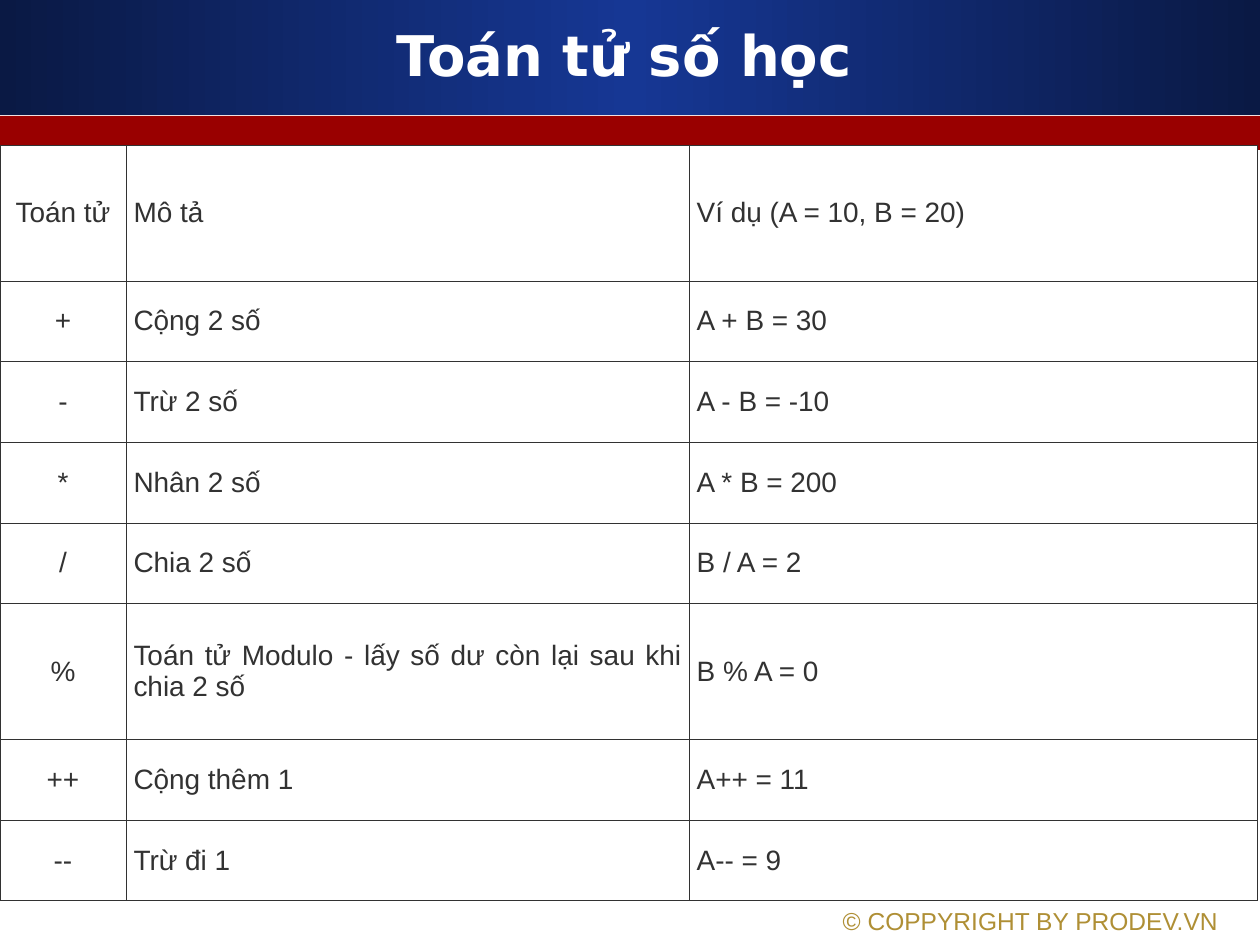
import pptx
import pptx.dml.color
import pptx.enum.shapes
import pptx.enum.text
import pptx.oxml
import pptx.oxml.ns
import pptx.util
from lxml import etree

PX = 9144  # EMU in one px, 100 px to the inch
COLORS = {
    "navy": "0A1944",
    "blue": "163794",
    "red": "990000",
    "gold": "AF8F35",
    "ink": "323232",
    "white": "FFFFFF",
}
ALIGN = pptx.enum.text.PP_ALIGN
MIDDLE = pptx.enum.text.MSO_ANCHOR.MIDDLE
qn = pptx.oxml.ns.qn

OPERATORS = [
    ("Toán tử", "Mô tả", "Ví dụ (A = 10, B = 20)"),
    ("+", "Cộng 2 số", "A + B = 30"),
    ("-", "Trừ 2 số", "A - B = -10"),
    ("*", "Nhân 2 số", "A * B = 200"),
    ("/", "Chia 2 số", "B / A = 2"),
    ("%", "Toán tử Modulo - lấy số dư còn lại sau khi chia 2 số", "B % A = 0"),
    ("++", "Cộng thêm 1", "A++ = 11"),
    ("--", "Trừ đi 1", "A-- = 9"),
]
TALL_ROWS = (0, 5)
TALL, SHORT = 108, 64
COLUMN_WIDTHS = (100, 447, 451)


def rgb(name):
    return pptx.dml.color.RGBColor.from_string(COLORS[name])


def emu(*lengths):
    return [pptx.util.Emu(length * PX) for length in lengths]


class SlideBuilder:
    TITLE = {"name": "DejaVu Sans", "size": pptx.util.Pt(32), "bold": True}
    BODY = {"name": "Arial", "size": pptx.util.Pt(16)}
    FOOTER = {"name": "Arial", "size": pptx.util.Pt(14)}
    BORDER_WIDTH = pptx.util.Pt(0.34)

    def __init__(self, page):
        self.page = page

    def add_text(self, frame, text, style, color, align):
        paragraph = frame.paragraphs[0]
        paragraph.alignment = align
        span = paragraph.add_run()
        span.text = text
        for key, value in style.items():
            setattr(span.font, key, value)
        span.font.color.rgb = rgb(color)
        return paragraph

    def band(self, bounds, colors):
        """Draw a bar behind the title, with an even gradient if it has several colours."""
        bar = self.page.shapes.add_shape(
            pptx.enum.shapes.MSO_SHAPE.RECTANGLE, *emu(*bounds))
        bar.shadow.inherit = False
        bar.line.fill.background()
        if len(colors) == 1:
            bar.fill.solid()
            bar.fill.fore_color.rgb = rgb(colors[0])
        else:
            bar.fill.gradient()
            bar.fill.gradient_angle = 0
            stops = next(bar.element.iter(qn("a:gsLst")))
            stops.clear()
            for index, color in enumerate(colors):
                position = 100000 * index // (len(colors) - 1)
                stop = etree.SubElement(stops, qn("a:gs"), pos=str(position))
                etree.SubElement(stop, qn("a:srgbClr"), val=COLORS[color])
        self.page.shapes.title.element.addprevious(bar.element)

    def title(self, bounds, text):
        box = self.page.shapes.title
        box.left, box.top, box.width, box.height = emu(*bounds)
        frame = box.text_frame
        frame.auto_size = pptx.enum.text.MSO_AUTO_SIZE.NONE
        frame.vertical_anchor = MIDDLE
        paragraph = self.add_text(frame, text, self.TITLE, "white", ALIGN.CENTER)
        paragraph.line_spacing = 0.8

    def footer(self, bounds, text):
        frame = self.page.shapes.add_textbox(*emu(*bounds)).text_frame
        frame.word_wrap = True
        self.add_text(frame, text, self.FOOTER, "gold", ALIGN.LEFT)

    def border(self, cell):
        properties = cell._tc.get_or_add_tcPr()
        for index, side in enumerate("LRTB"):
            line = etree.Element(qn(f"a:ln{side}"), w=str(self.BORDER_WIDTH))
            fill = etree.SubElement(line, qn("a:solidFill"))
            etree.SubElement(fill, qn("a:srgbClr"), val=COLORS["ink"])
            properties.insert(index, line)

    def table(self, left, top, widths, heights, rows):
        grid = self.page.shapes.add_table(
            len(rows), len(widths), *emu(left, top, sum(widths), sum(heights))).table
        grid.first_row = grid.horz_banding = False
        for column, width in zip(grid.columns, emu(*widths)):
            column.width = width
        for row, height, texts in zip(grid.rows, emu(*heights), rows):
            row.height = height
            for index, (cell, text) in enumerate(zip(row.cells, texts)):
                cell.fill.solid()
                cell.fill.fore_color.rgb = rgb("white")
                cell.vertical_anchor = MIDDLE
                cell.margin_left, cell.margin_right = emu(6, 6)
                cell.margin_top, cell.margin_bottom = emu(5, 5)
                align = ALIGN.JUSTIFY if index else ALIGN.CENTER
                self.add_text(cell.text_frame, text, self.BODY, "ink", align)
                self.border(cell)


def main():
    deck = pptx.Presentation()
    deck.slide_width, deck.slide_height = emu(1000, 750)
    slide = SlideBuilder(deck.slides.add_slide(deck.slide_layouts[5]))
    slide.band((0, 0, 1000, 91), ("navy", "blue", "navy"))
    slide.band((0, 92, 1000, 27), ("red",))
    slide.title((33, 17, 925, 62), "Toán tử số học")
    slide.footer((659, 714, 340, 34), "© COPPYRIGHT BY PRODEV.VN")
    heights = [TALL if index in TALL_ROWS else SHORT for index in range(len(OPERATORS))]
    slide.table(0, 115, COLUMN_WIDTHS, heights, OPERATORS)
    deck.save("out.pptx")


if __name__ == "__main__":
    main()
